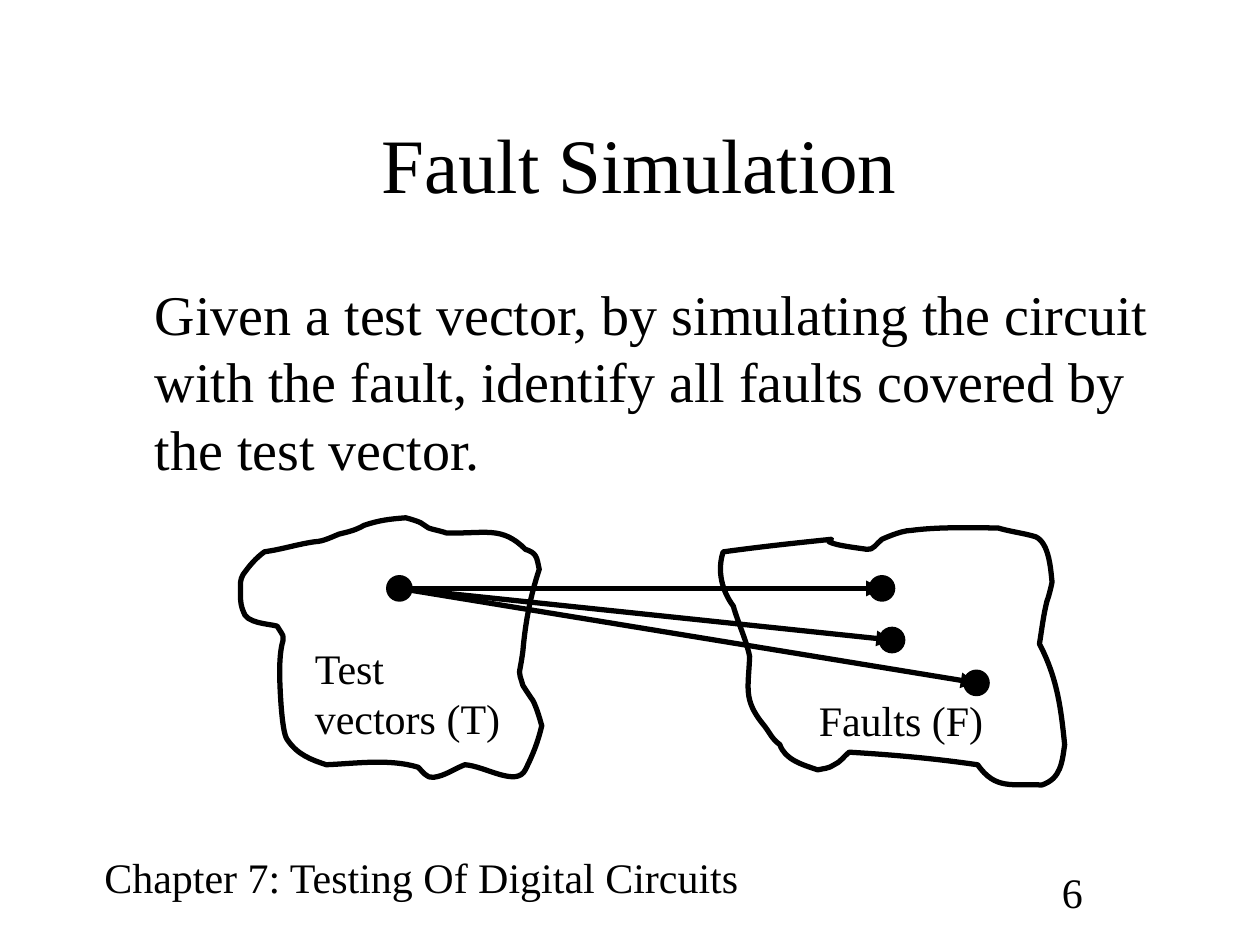
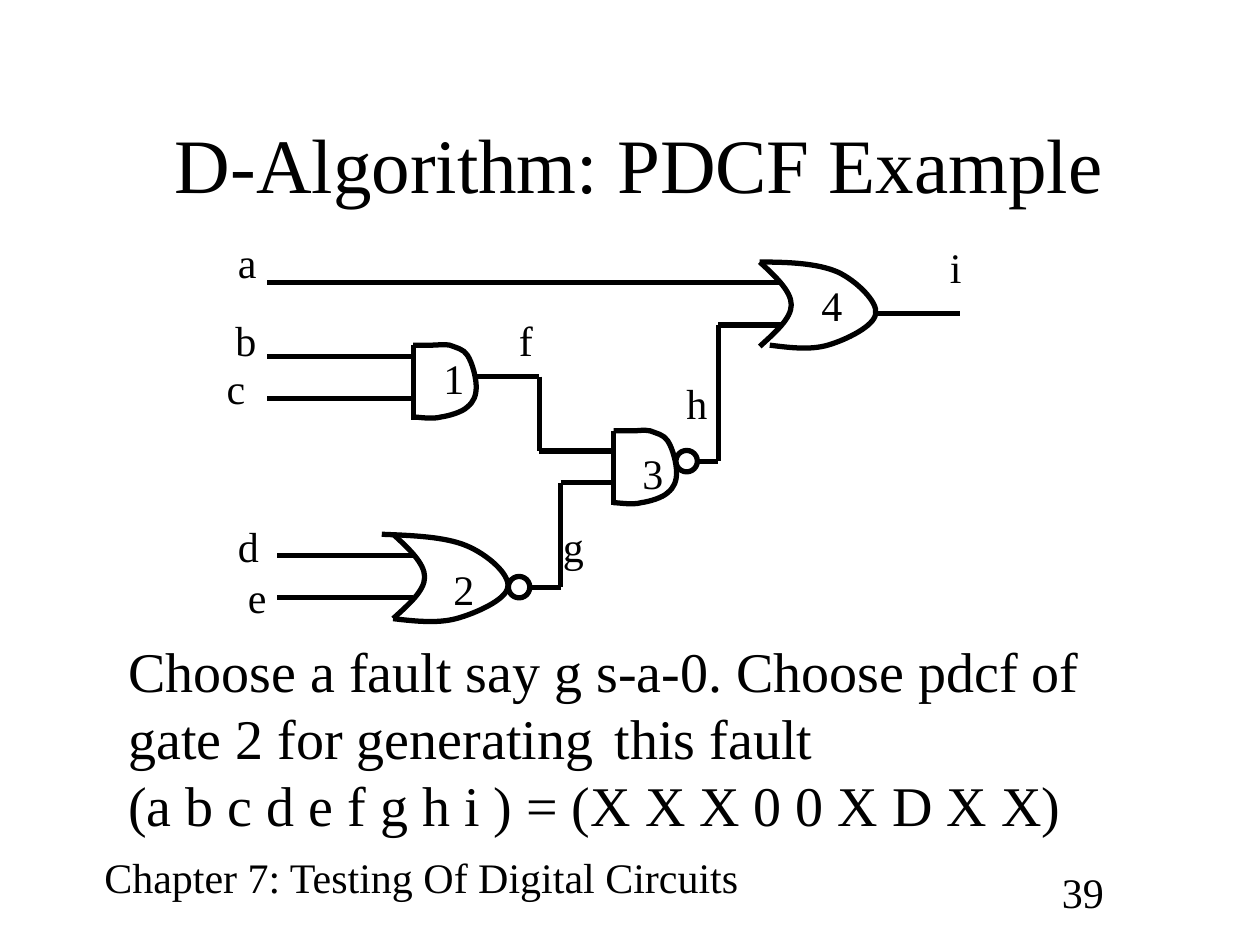
import copy
import dataclasses
import itertools

import lxml.etree
import pptx
import pptx.dml.color
import pptx.enum.shapes
import pptx.enum.text
import pptx.oxml.ns
import pptx.util

SCALE = 9144  # EMU in one px, 100 px to the inch


@dataclasses.dataclass(frozen=True)
class Theme:
    ink: pptx.dml.color.RGBColor = pptx.dml.color.RGBColor(0, 0, 0)
    font: str = "Times New Roman"
    title: int = 44
    body: int = 32
    label: int = 24
    line: int = 3
    dot: int = 17


THEME = Theme()
qn = pptx.oxml.ns.qn

# Each outline is a start point, then three points for every curve.
TESTS = [
    (60, 19),
    (46, 21), (34, 25), (20, 27), (13, 32), (8, 38), (3, 45),
    (2, 47), (1, 49), (1, 51), (1, 59), (0, 67), (3, 74),
    (5, 84), (23, 84), (30, 86), (40, 102), (32, 87), (32, 124),
    (32, 126), (33, 170), (38, 176), (46, 188), (57, 192), (69, 196),
    (93, 195), (119, 191), (142, 198), (145, 201), (149, 207), (154, 206),
    (163, 205), (171, 199), (179, 196), (195, 197), (220, 214), (227, 200),
    (233, 188), (237, 178), (240, 165), (238, 158), (236, 151), (233, 145),
    (230, 141), (225, 133), (225, 133), (221, 119), (222, 128), (225, 106),
    (227, 83), (231, 62), (238, 41), (236, 31), (236, 28), (227, 25),
    (208, 6), (195, 13), (164, 12), (162, 11), (152, 9), (150, 8),
    (148, 7), (146, 5), (144, 4), (140, 2), (132, 0), (132, 0),
    (119, 1), (111, 2), (99, 6), (92, 10), (87, 11), (79, 13),
    (74, 15), (66, 19), (60, 19),
]
FAULTS = [
    (91, 10),
    (62, 13), (34, 16), (5, 20), (0, 35), (4, 51), (13, 63),
    (17, 77), (23, 89), (26, 103), (25, 128), (21, 137), (36, 156),
    (42, 163), (43, 168), (50, 173), (54, 185), (68, 189), (80, 193),
    (84, 192), (89, 192), (93, 189), (98, 187), (101, 182), (105, 179),
    (139, 181), (173, 184), (207, 189), (221, 209), (234, 204), (258, 205),
    (273, 200), (274, 187), (276, 173), (273, 143), (270, 120), (256, 93),
    (258, 81), (259, 71), (262, 59), (264, 54), (266, 44), (266, 44),
    (265, 35), (264, 13), (253, 8), (243, 5), (233, 4), (223, 1),
    (200, 1), (177, 0), (154, 3), (146, 3), (131, 10), (131, 10),
    (127, 13), (124, 19), (119, 18), (113, 17), (94, 15), (89, 12),
    (88, 12), (91, 11), (91, 10),
]
AND = [
    (0, 0),
    (5, 0), (10, 0), (15, 0), (20, 0), (24, -1), (29, 0),
    (34, 2), (40, 3), (43, 8), (47, 14), (50, 26), (50, 33),
    (50, 40), (48, 45), (43, 49), (39, 53), (29, 56), (22, 57),
    (15, 59), (4, 57), (0, 57),
]
BACK = [(0, 0), (12, 11), (25, 23), (25, 34), (25, 45), (12, 56), (0, 67)]
NOR = [
    (-9, 0),
    (16, 1), (41, 2), (58, 9), (75, 16), (93, 32), (91, 42),
    (90, 52), (65, 63), (50, 67), (35, 71), (17, 69), (0, 67),
]
OR = [
    (0, 0),
    (23, 0), (46, 1), (62, 8), (77, 15), (94, 32), (92, 41),
    (91, 51), (68, 62), (54, 66), (40, 70), (24, 68), (8, 66),
]


def px(*sizes):
    return [pptx.util.Emu(round(size * SCALE)) for size in sizes]


def shift(box, point):
    return box[0] + point[0], box[1] + point[1]


def put(thing, values):
    for name, value in values.items():
        setattr(thing, name, value)


def ink(line):
    line.color.rgb = THEME.ink
    line.width = pptx.util.Pt(THEME.line)


def write(frame, lines, size, **layout):
    """Fill a text frame with one paragraph for each line."""
    put(frame, {"word_wrap": True,
                "auto_size": pptx.enum.text.MSO_AUTO_SIZE.NONE})
    frame.text = "\n".join(lines)
    for para in frame.paragraphs:
        put(para, layout)
        for run in para.runs:
            put(run.font, {"name": THEME.font, "size": pptx.util.Pt(size)})
            run.font.color.rgb = THEME.ink


def text(slide, box, *lines, size=THEME.label):
    shape = slide.shapes.add_textbox(*px(*box))
    write(shape.text_frame, lines, size)
    return shape


def widen(run, word, extra):
    """Widen the space before a word by extra hundredths of a point."""
    head, tail = run.text.split(" " + word)
    run.text = head
    for part, gap in [(" ", extra), (word + tail, 0)]:
        twin = copy.deepcopy(run._r)
        twin.text = part
        twin.get_or_add_rPr().set("spc", str(gap))
        run._r.getparent().append(twin)


def place(shape, box):
    put(shape, dict(zip(("left", "top", "width", "height"), px(*box))))


def curve(slide, box, points):
    """Draw an open or closed outline from cubic curves."""
    path = [px(*point) for point in points]
    pen = slide.shapes.build_freeform(*path[0], scale=1.0)
    pen.add_line_segments(path[1:], close=path[0] == path[-1])
    shape = pen.convert_to_shape(*px(*box))
    legs = list(shape._element.iter(qn("a:lnTo")))
    for i in range(0, len(legs), 3):
        bend = lxml.etree.Element(qn("a:cubicBezTo"))
        legs[i].addprevious(bend)
        for leg in legs[i:i + 3]:
            bend.append(leg[0])
            leg.getparent().remove(leg)
    shape.shadow.inherit = False
    shape.fill.background()
    ink(shape.line)


def wire(slide, box, *points, arrow=False):
    """Join the points with straight lines."""
    for start, end in itertools.pairwise(points):
        link = slide.shapes.add_connector(
            pptx.enum.shapes.MSO_CONNECTOR.STRAIGHT,
            *px(*shift(box, start), *shift(box, end)))
        ink(link.line)
        props = link._element.spPr
        if arrow:
            lxml.etree.SubElement(props.find(qn("a:ln")), qn("a:tailEnd"),
                                  type="triangle")
        lxml.etree.SubElement(props, qn("a:effectLst"))


def dot(slide, box, mid, solid):
    x, y = shift(box, mid)
    half = THEME.dot / 2
    shape = slide.shapes.add_shape(
        pptx.enum.shapes.MSO_SHAPE.OVAL,
        *px(x - half, y - half, THEME.dot, THEME.dot))
    shape.shadow.inherit = False
    if solid:
        shape.fill.solid()
        shape.fill.fore_color.rgb = THEME.ink
    else:
        shape.fill.background()
    ink(shape.line)


def labels(slide, box, spots):
    for word, spot in spots.items():
        text(slide, (*shift(box, spot), 36, 50), word)


def frame(deck, layout, title, page):
    """Add a slide with its title and page number."""
    slide = deck.slides.add_slide(deck.slide_layouts[layout])
    head = slide.shapes.title
    place(head, (75, 67, 850, 125))
    put(head.text_frame, {
        "vertical_anchor": pptx.enum.text.MSO_ANCHOR.MIDDLE,
        "margin_left": px(25)[0]})
    write(head.text_frame, [title], THEME.title,
          alignment=pptx.enum.text.PP_ALIGN.CENTER)
    text(slide, (833, 683, 92, 50), page)
    return slide


def footer(deck, slide):
    """Put the chapter name on the master, so that every slide shows it."""
    shape = text(slide, (73, 671, 540, 50),
                 "Chapter 7: Testing Of Digital Circuits")
    deck.slide_master.shapes._spTree.append(shape._element)


def body(slide, box, line):
    shape = slide.placeholders[1]
    place(shape, box)
    write(shape.text_frame, [line], THEME.body,
          space_before=pptx.util.Pt(8))
    props = shape.text_frame.paragraphs[0]._p.get_or_add_pPr()
    for name, size in {"marL": 38, "indent": 0}.items():
        props.set(name, str(size * SCALE))
    lxml.etree.SubElement(props, qn("a:buNone"))


def cover(slide, box):
    """Map one test vector to the faults it covers."""
    curve(slide, box, TESTS)
    curve(slide, shift(box, (379, 7)), FAULTS)
    source = (127, 56)
    hits = [(510, 56), (518, 97), (585, 131)]
    for hit in hits:
        wire(slide, box, source, hit, arrow=True)
    text(slide, (*shift(box, (50, 94)), 175, 90), "Test", "vectors (T)")
    text(slide, (*shift(box, (450, 135)), 155, 50), "Faults (F)")
    for mid in [source, *hits]:
        dot(slide, box, mid, solid=True)


def gates(slide, box):
    for spot in [(158, 91), (317, 159)]:
        corner = shift(box, spot)
        wire(slide, corner, (0, 0), (0, 59))
        curve(slide, corner, AND)
    for spot, nose in [((142, 241), NOR), ((433, 25), OR)]:
        corner = shift(box, spot)
        curve(slide, corner, BACK)
        curve(slide, corner, nose)
    for mid in [(242, 283), (375, 183)]:
        dot(slide, box, mid, solid=False)
    labels(slide, box, {"1": (172, 92), "2": (180, 259),
                        "3": (330, 167), "4": (472, 34)})


def nets(slide, box):
    routes = [
        [(42, 41), (450, 41)],
        [(42, 100), (158, 100)],
        [(42, 133), (158, 133)],
        [(50, 258), (158, 258)],
        [(50, 291), (158, 291)],
        [(208, 116), (258, 116), (258, 175), (317, 175)],
        [(250, 283), (275, 283), (275, 200), (317, 200)],
        [(383, 183), (400, 183), (400, 75), (450, 75)],
        [(525, 66), (592, 66)],
    ]
    for route in routes:
        wire(slide, box, *route)
    labels(slide, box, {
        "a": (9, 0), "b": (7, 62), "c": (0, 100), "d": (9, 225),
        "e": (17, 266), "f": (232, 62), "g": (267, 225),
        "h": (365, 112), "i": (574, 4)})


def main():
    deck = pptx.Presentation()
    put(deck, dict(zip(("slide_width", "slide_height"), px(1000, 750))))

    slide = frame(deck, 1, "Fault Simulation", "6")
    footer(deck, slide)
    body(slide, (75, 217, 850, 450),
         "Given a test vector, by simulating the circuit with the fault, "
         "identify all faults covered by the test vector.")
    cover(slide, (190, 411))

    slide = frame(deck, 5, "D-Algorithm: PDCF Example", "39")
    nets(slide, (170, 183))
    gates(slide, (170, 183))
    note = text(slide, (92, 500, 800, 170),
                "Choose a fault say g s-a-0. Choose pdcf of",
                "gate 2 for generating this fault",
                "(a b c d e f g h i ) = (X X X 0 0 X D X X)",
                size=THEME.body)
    widen(note.text_frame.paragraphs[1].runs[0], "this", 400)

    deck.save("out.pptx")


if __name__ == "__main__":
    main()
